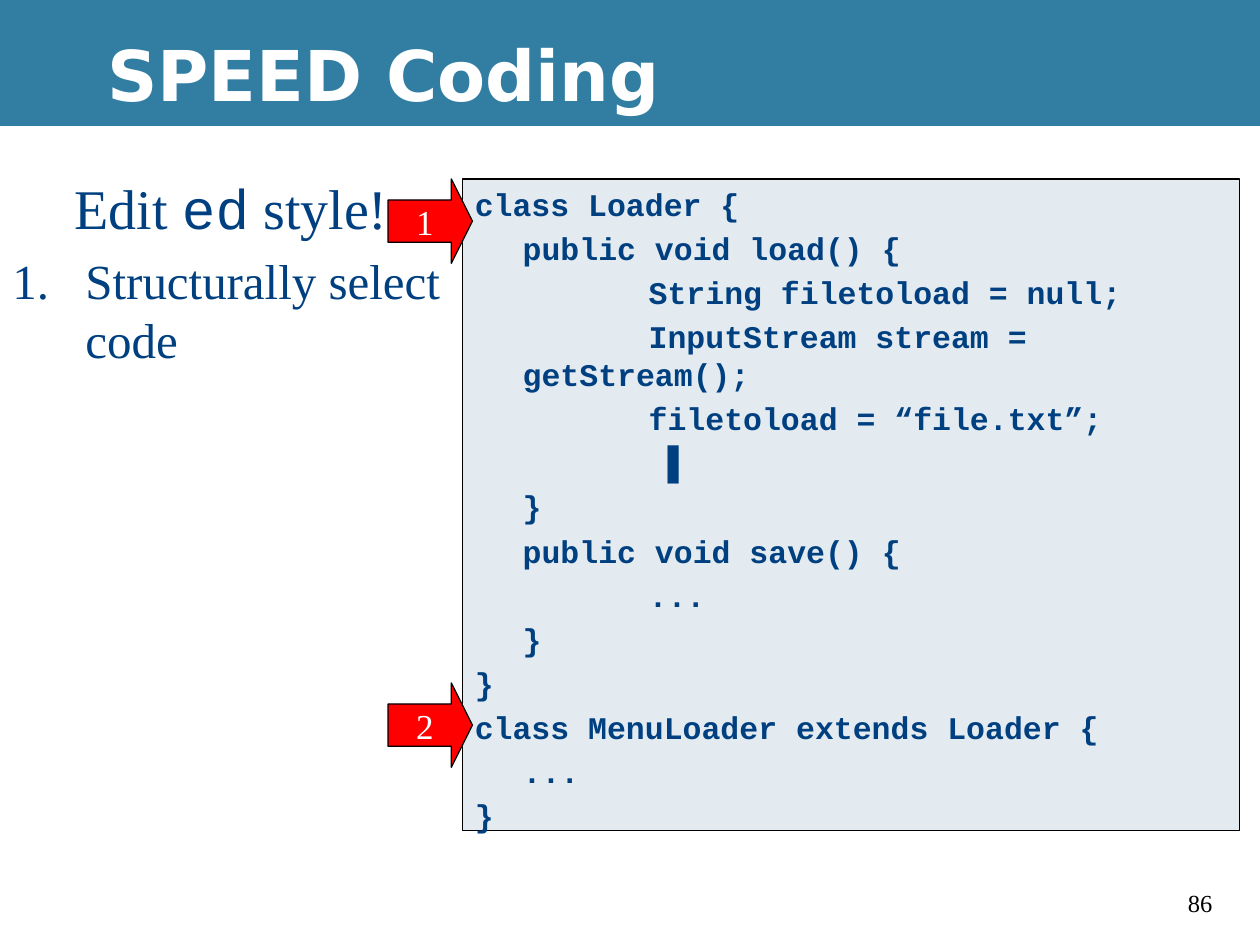
from lxml.etree import SubElement
from pptx import Presentation
from pptx.dml.color import RGBColor
from pptx.enum.shapes import MSO_SHAPE
from pptx.enum.text import MSO_ANCHOR, MSO_AUTO_SIZE, PP_ALIGN
from pptx.oxml.ns import qn
from pptx.util import Inches, Pt

COLORS = {
    "black": "000000",
    "white": "FFFFFF",
    "banner": "327EA3",
    "text": "004080",
    "panel": "E3EBF1",
    "arrow": "FF0000",
}
SERIF, MONO, SANS = "Times New Roman", "Courier New", "DejaVu Sans"

TITLE = "SPEED Coding"
PAGE_NUMBER = "86"
HEADING_RUNS = [("Edit ", SERIF), ("ed", MONO), (" style!", SERIF)]
STEPS = ["Structurally select code"]
CURSOR = "▌"
CODE_LINES = [
    (0, "class Loader {"),
    (1, "public void load() {"),
    (2, "String filetoload = null;"),
    (2, "InputStream stream = getStream();"),
    (2, "filetoload = “file.txt”;"),
    (2, " " + CURSOR),
    (1, "}"),
    (1, "public void save() {"),
    (2, "..."),
    (1, "}"),
    (0, "}"),
    (0, "class MenuLoader extends Loader {"),
    (1, "..."),
    (0, "}"),
]
ARROWS = [("1", 1.42), ("2", 5.42)]


def rgb(name):
    return RGBColor.from_string(COLORS[name])


def add_text(paragraph, text, size=18, font=SERIF, color="text", bold=False):
    run = paragraph.add_run()
    run.text = text
    run.font.size = Pt(size)
    run.font.name = font
    run.font.bold = bold
    run.font.color.rgb = rgb(color)


def next_paragraph(frame, first, size, indent, align=PP_ALIGN.LEFT):
    paragraph = frame.paragraphs[0] if first else frame.add_paragraph()
    paragraph.alignment = align
    paragraph.space_before = Pt(size * 0.2)
    properties = paragraph._p.get_or_add_pPr()
    properties.set("marL", str(Inches(indent)))
    properties.set("indent", str(-Inches(indent)))
    properties.set("defTabSz", str(Inches(1)))
    return paragraph


def add_box(slide, kind, box, fill, line=None):
    shape = slide.shapes.add_shape(kind, *map(Inches, box))
    shape.shadow.inherit = False
    shape.fill.solid()
    shape.fill.fore_color.rgb = rgb(fill)
    if line:
        shape.line.color.rgb = rgb(line)
        shape.line.width = Pt(0.75)
    else:
        shape.line.fill.background()
    return shape


def add_text_frame(slide, box):
    frame = slide.shapes.add_textbox(*map(Inches, box)).text_frame
    frame.word_wrap = True
    return frame


def add_title(slide):
    title = slide.shapes.title
    title.element.getparent().append(title.element)
    title.left, title.top, title.width, title.height = map(Inches, (0.75, 0.08, 9.25, 1))
    frame = title.text_frame
    frame.auto_size = MSO_AUTO_SIZE.NONE
    frame.vertical_anchor = MSO_ANCHOR.MIDDLE
    frame.paragraphs[0].alignment = PP_ALIGN.LEFT
    add_text(frame.paragraphs[0], TITLE, size=40, font=SANS, color="white", bold=True)


def add_steps(slide):
    frame = add_text_frame(slide, (0, 1.33, 3.67, 2.08))
    heading = next_paragraph(frame, True, 32, 0.58, PP_ALIGN.CENTER)
    for text, font in HEADING_RUNS:
        add_text(heading, text, size=32, font=font)
    for step in STEPS:
        paragraph = next_paragraph(frame, False, 28, 0.58)
        numbering = SubElement(paragraph._p.get_or_add_pPr(), qn("a:buAutoNum"))
        numbering.set("type", "arabicPeriod")
        add_text(paragraph, step, size=28)


def add_code(slide):
    panel = add_box(slide, MSO_SHAPE.RECTANGLE, (3.67, 1.42, 6.17, 5.17), "panel", "black")
    frame = panel.text_frame
    frame.word_wrap = True
    frame.vertical_anchor = MSO_ANCHOR.TOP
    for index, (depth, text) in enumerate(CODE_LINES):
        paragraph = next_paragraph(frame, index == 0, 18, 0.38)
        code, cursor, _ = text.partition(CURSOR)
        add_text(paragraph, "\t" * depth + code, font=MONO, bold=True)
        if cursor:
            add_text(paragraph, cursor, font="Arial", bold=True)


def add_arrow(slide, label, top):
    arrow = add_box(slide, MSO_SHAPE.RIGHT_ARROW, (3.08, top, 0.67, 0.67), "arrow", "black")
    arrow.adjustments[0], arrow.adjustments[1] = 0.5, 0.25
    frame = arrow.text_frame
    frame.word_wrap = False
    frame.vertical_anchor = MSO_ANCHOR.MIDDLE
    frame.paragraphs[0].alignment = PP_ALIGN.CENTER
    add_text(frame.paragraphs[0], label, size=20, color="white")


def main():
    """Build the coding slide and save it."""
    presentation = Presentation()
    presentation.slide_width, presentation.slide_height = Inches(10), Inches(7.5)
    slide = presentation.slides.add_slide(presentation.slide_layouts[5])
    slide.background.fill.solid()
    slide.background.fill.fore_color.rgb = rgb("black")
    add_box(slide, MSO_SHAPE.RECTANGLE, (0, 1, 10, 6.5), "white")
    add_box(slide, MSO_SHAPE.RECTANGLE, (0, 0, 10, 1), "banner")
    number = add_text_frame(slide, (9.33, 7, 0.5, 0.33))
    add_text(number.paragraphs[0], PAGE_NUMBER, size=14, color="black")
    add_title(slide)
    add_steps(slide)
    add_code(slide)
    for label, top in ARROWS:
        add_arrow(slide, label, top)
    presentation.save("out.pptx")


if __name__ == "__main__":
    main()
